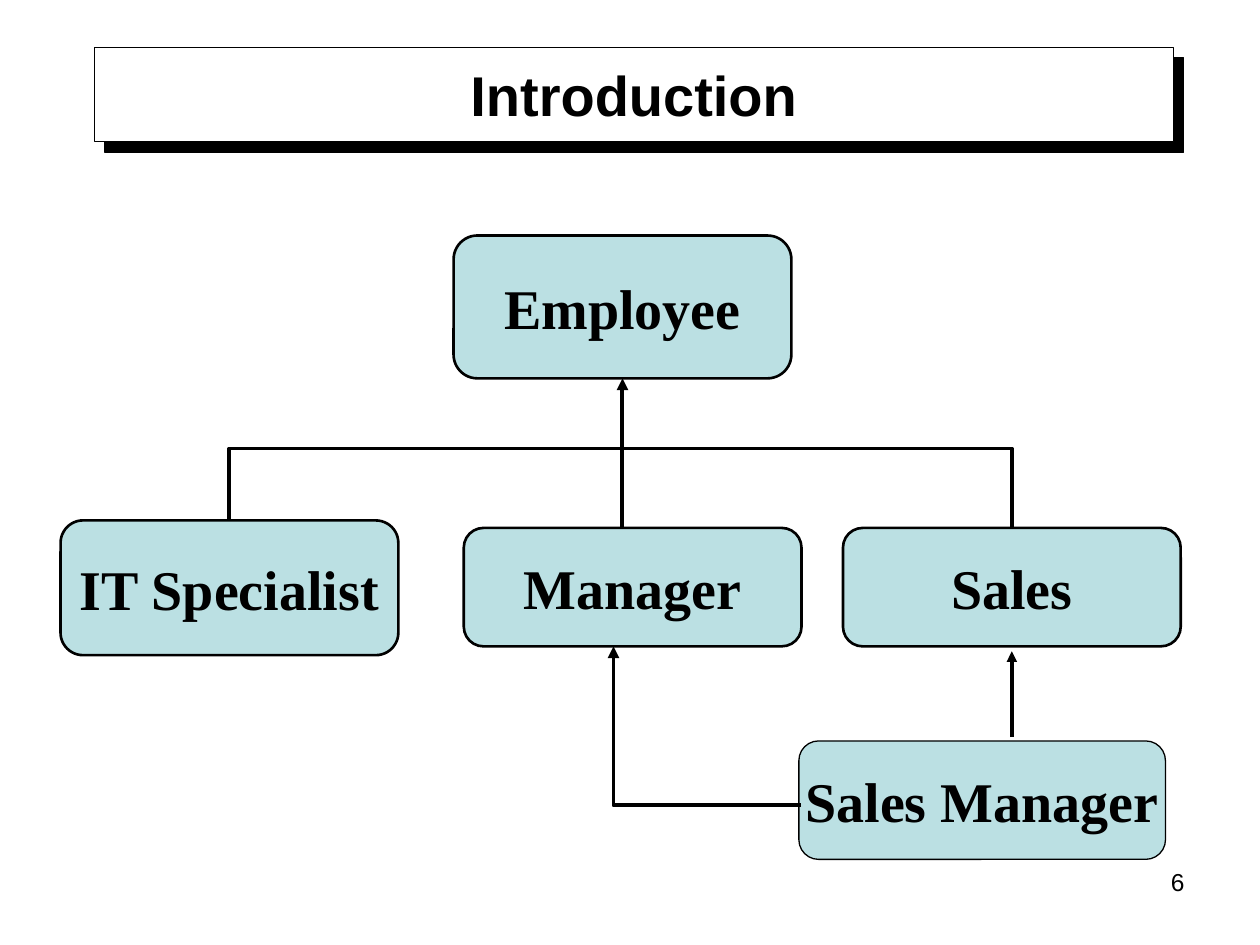
from dataclasses import dataclass

from lxml.etree import SubElement
from pptx import Presentation
from pptx.dml.color import RGBColor
from pptx.enum.shapes import MSO_CONNECTOR, MSO_SHAPE
from pptx.enum.text import MSO_ANCHOR, PP_ALIGN
from pptx.oxml.ns import qn
from pptx.util import Pt


@dataclass(frozen=True)
class Theme:
    ink: str = "000000"
    paper: str = "FFFFFF"
    box: str = "BBE0E3"
    head: str = "Arial"
    body: str = "Times New Roman"
    big: int = 32
    small: int = 14


THEME = Theme()


def rgb(code):
    return RGBColor.from_string(code)


def write(shape, text, font, size, bold, align, pad=(7.2, 3.6), gap=0):
    frame = shape.text_frame
    frame.text = text
    frame.margin_left = frame.margin_right = Pt(pad[0])
    frame.margin_top = frame.margin_bottom = Pt(pad[1])
    para = frame.paragraphs[0]
    para.alignment = align
    para.space_before = Pt(gap)
    run = para.runs[0].font
    run.name = font
    run.size = Pt(size)
    run.bold = bold
    run.color.rgb = rgb(THEME.ink)
    return frame


def add_panel(slide, kind, area, fill, width):
    shape = slide.shapes.add_shape(kind, *map(Pt, area))
    shape.shadow.inherit = False
    shape.fill.solid()
    shape.fill.fore_color.rgb = rgb(fill)
    shape.line.color.rgb = rgb(THEME.ink)
    shape.line.width = Pt(width)
    return shape


def add_title(slide, text, area):
    shape = add_panel(slide, MSO_SHAPE.RECTANGLE, area, THEME.paper, 0.75)
    effects = shape._element.spPr.find(qn("a:effectLst"))
    shade = SubElement(effects, qn("a:outerShdw"), dist=str(Pt(8.5)),
                       dir="2700000", algn="ctr", rotWithShape="0")
    SubElement(shade, qn("a:srgbClr"), val=THEME.ink)
    frame = write(shape, text, THEME.head, THEME.big, True, PP_ALIGN.CENTER)
    frame.word_wrap = True
    frame.vertical_anchor = MSO_ANCHOR.MIDDLE


def add_box(slide, text, area, width=1.5, pad=(0, 0), gap=8):
    shape = add_panel(slide, MSO_SHAPE.ROUNDED_RECTANGLE, area, THEME.box, width)
    frame = write(shape, text, THEME.body, THEME.big, True,
                  PP_ALIGN.CENTER, pad, gap)
    frame.word_wrap = False
    frame.vertical_anchor = MSO_ANCHOR.MIDDLE
    return shape


def add_line(slide, start, end, bent=False, arrow=False, width=2.25):
    kind = MSO_CONNECTOR.ELBOW if bent else MSO_CONNECTOR.STRAIGHT
    line = slide.shapes.add_connector(kind, *map(Pt, start + end))
    line.line.color.rgb = rgb(THEME.ink)
    line.line.width = Pt(width)
    props = line._element.spPr
    if bent:
        props.find(qn("a:prstGeom")).set("prst", "bentConnector2")
    if arrow:
        SubElement(line.line._get_or_add_ln(), qn("a:tailEnd"), type="triangle")
    SubElement(props, qn("a:effectLst"))
    return line


def add_number(slide, text, area):
    shape = slide.shapes.add_textbox(*map(Pt, area))
    frame = write(shape, text, THEME.head, THEME.small, False, PP_ALIGN.RIGHT)
    frame.word_wrap = True


def main():
    deck = Presentation()
    deck.slide_width, deck.slide_height = Pt(720), Pt(540)
    slide = deck.slides.add_slide(deck.slide_layouts[6])

    add_title(slide, "Introduction", (54, 27, 616.5, 54))

    top = add_box(slide, "Employee", (259.2, 134.6, 193, 81.6))
    tech = add_box(slide, "IT Specialist", (34.6, 297.4, 193, 77))
    add_box(slide, "Manager", (265, 301.7, 193, 67.7))
    sales = add_box(slide, "Sales", (481.7, 301.7, 193, 67.7))
    add_box(slide, "Sales Manager", (456.5, 423.4, 209.5, 67.7),
            width=0.75, pad=(7.2, 3.6), gap=0)

    mid, bus = 355.7, 256.3
    for box, foot in ((tech, (131.1, 297.4)), (sales, (578.2, 301.7))):
        add_line(slide, (mid, bus), foot, bent=True).end_connect(box, 0)
    add_line(slide, (mid, 279.4), (mid, 216.2), arrow=True).end_connect(top, 2)
    add_line(slide, (mid, 274.3), (mid, 301.7))

    add_line(slide, (578.2, 421.2), (578.2, 372.2), arrow=True, width=2)
    add_line(slide, (457.9, 460.1), (350.6, 369.4), bent=True, arrow=True)

    add_number(slide, "6", (516.2, 491.8, 167.8, 37.4))
    deck.save("out.pptx")


if __name__ == "__main__":
    main()
